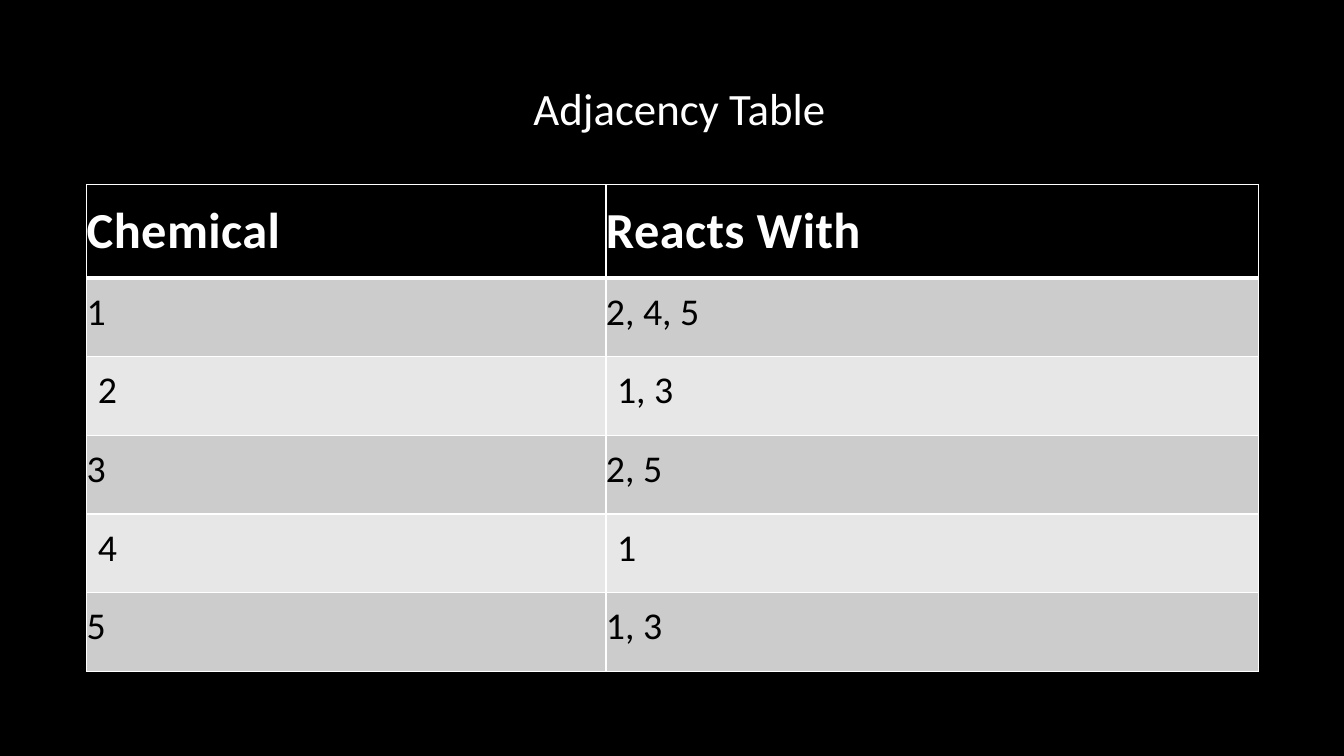
import dataclasses
import pptx
import pptx.dml.color
import pptx.enum.text
import pptx.oxml
import pptx.oxml.ns
import pptx.util

Inches = pptx.util.Inches
Anchor = pptx.enum.text.MSO_ANCHOR


@dataclasses.dataclass(frozen=True)
class Theme:
    font: str = "Calibri"
    black: str = "000000"
    white: str = "FFFFFF"
    dark: str = "CCCCCC"
    light: str = "E7E7E7"
    title: int = 32
    head: int = 36
    body: int = 27
    thin: int = 1
    thick: int = 3


@dataclasses.dataclass(frozen=True)
class Style:
    size: int
    color: str
    fill: str
    left: float
    right: float
    anchor: Anchor
    top: int
    bottom: int
    bold: bool = False
    spacing: int = 0


THEME = Theme()
HEAD = Style(THEME.head, THEME.white, THEME.black, 0, 0.02, Anchor.MIDDLE,
             THEME.thin, THEME.thick, True, 30)
ODD = Style(THEME.body, THEME.black, THEME.dark, 0, 0.23, Anchor.TOP,
            THEME.thin, THEME.thin)
FIRST = dataclasses.replace(ODD, top=THEME.thick)
EVEN = dataclasses.replace(ODD, fill=THEME.light, left=0.11)

ROWS = [
    ("Chemical", "Reacts With"),
    ("1", "2, 4, 5"),
    ("2", "1, 3"),
    ("3", "2, 5"),
    ("4", "1"),
    ("5", "1, 3"),
]
WIDTHS = (5.15, 6.47)
HEIGHTS = (0.93,) + (0.78,) * 5


def rgb(color: str) -> pptx.dml.color.RGBColor:
    return pptx.dml.color.RGBColor.from_string(color)


def set_font(para, size: int, color: str, bold: bool = False) -> None:
    font = para.font
    font.name = THEME.font
    font.size = pptx.util.Pt(size)
    font.bold = bold
    font.color.rgb = rgb(color)


def add_edges(cell, style: Style) -> None:
    props = cell._tc.get_or_add_tcPr()
    edges = (("L", THEME.thin), ("R", THEME.thin),
             ("T", style.top), ("B", style.bottom))
    for place, (side, width) in enumerate(edges):
        line = pptx.oxml.parse_xml(
            f'<a:ln{side} {pptx.oxml.ns.nsdecls("a")} w="{pptx.util.Pt(width)}">'
            f'<a:solidFill><a:srgbClr val="{THEME.white}"/></a:solidFill>'
            f'</a:ln{side}>')
        props.insert(place, line)


def fill_cell(cell, text: str, style: Style) -> None:
    cell.text = text
    cell.vertical_anchor = style.anchor
    cell.margin_left = Inches(style.left)
    cell.margin_right = Inches(style.right)
    cell.margin_top = cell.margin_bottom = Inches(0.11)
    cell.fill.solid()
    cell.fill.fore_color.rgb = rgb(style.fill)
    para = cell.text_frame.paragraphs[0]
    set_font(para, style.size, style.color, style.bold)
    if style.spacing:
        para.runs[0]._r.get_or_add_rPr().set("spc", str(style.spacing))
    add_edges(cell, style)


def add_title(slide, text: str) -> None:
    box = slide.shapes.add_textbox(
        Inches(0.61), Inches(0.7), Inches(12.26), Inches(0.81))
    frame = box.text_frame
    frame.word_wrap = True
    frame.vertical_anchor = Anchor.MIDDLE
    para = frame.paragraphs[0]
    para.text = text
    para.alignment = pptx.enum.text.PP_ALIGN.CENTER
    para.line_spacing = 0.9
    set_font(para, THEME.title, THEME.white)


def add_grid(slide) -> None:
    table = slide.shapes.add_table(
        len(ROWS), len(WIDTHS), Inches(0.86), Inches(1.83),
        Inches(sum(WIDTHS)), Inches(sum(HEIGHTS))).table
    for column, width in zip(table.columns, WIDTHS):
        column.width = Inches(width)
    for row, height in zip(table.rows, HEIGHTS):
        row.height = Inches(height)
    styles = (HEAD, FIRST, EVEN, ODD, EVEN, ODD)
    for row, texts, style in zip(table.rows, ROWS, styles):
        for cell, text in zip(row.cells, texts):
            fill_cell(cell, text, style)


def main() -> None:
    deck = pptx.Presentation()
    deck.slide_width = Inches(13.33)
    deck.slide_height = Inches(7.5)
    slide = deck.slides.add_slide(deck.slide_layouts[6])
    slide.background.fill.solid()
    slide.background.fill.fore_color.rgb = rgb(THEME.black)
    add_title(slide, "Adjacency Table")
    add_grid(slide)
    deck.save("out.pptx")


if __name__ == "__main__":
    main()
